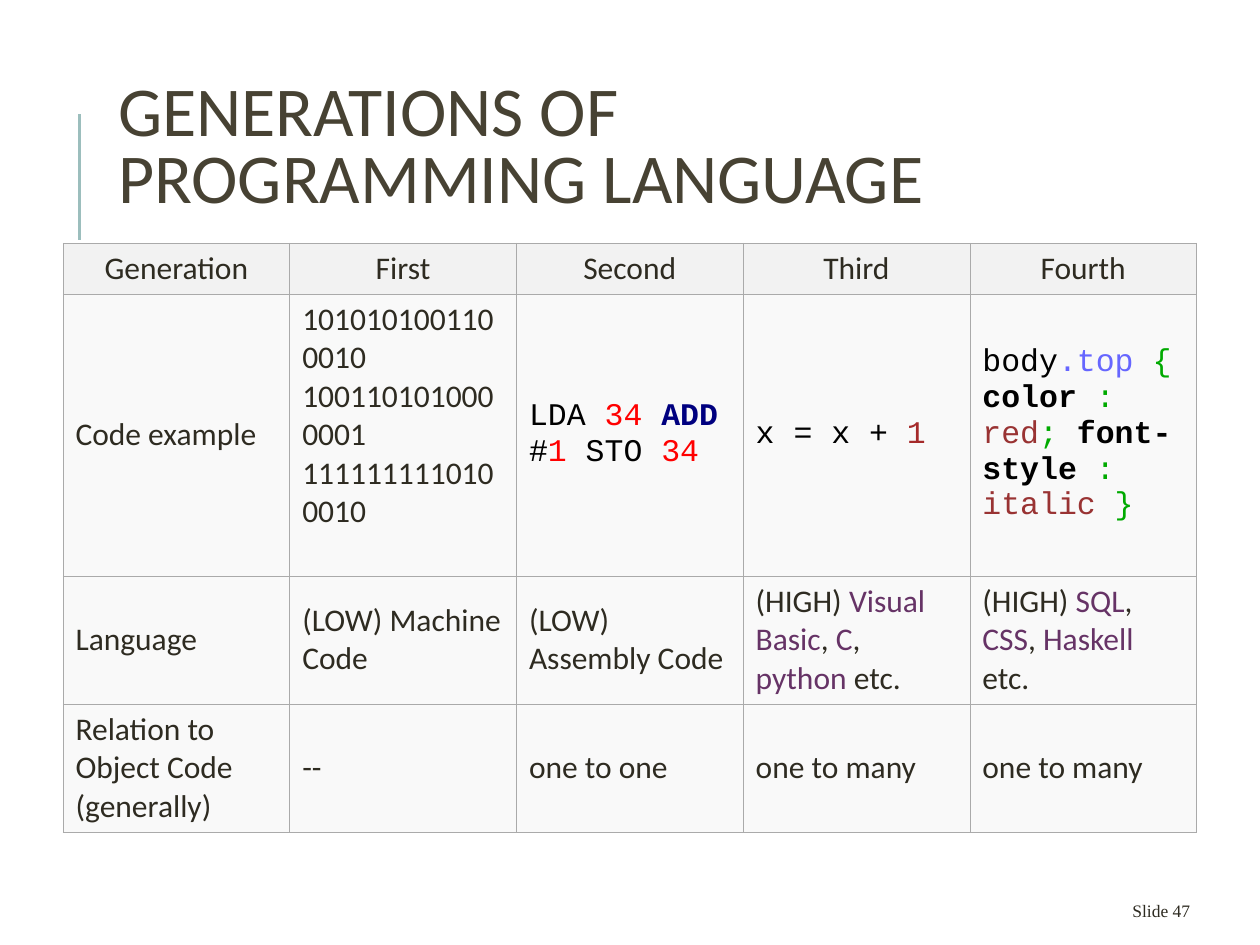
"""Build the slide on generations of programming language."""
from lxml import etree
from pptx import Presentation
from pptx.dml.color import RGBColor
from pptx.enum.shapes import MSO_CONNECTOR
from pptx.enum.text import MSO_ANCHOR, MSO_AUTO_SIZE, PP_ALIGN
from pptx.oxml.ns import qn
from pptx.util import Cm, Pt

LINE = MSO_CONNECTOR.STRAIGHT
MIDDLE = MSO_ANCHOR.MIDDLE
FIXED = MSO_AUTO_SIZE.NONE
LEFT, CENTER = PP_ALIGN.LEFT, PP_ALIGN.CENTER

HUES = {
    "title": "474233", "text": "2E2B21", "rule": "9CBEBD", "edge": "AAAAAA",
    "head": "F2F2F2", "body": "F9F9F9", "link": "663366", "black": "000000",
    "red": "FF0000", "navy": "00007F", "brown": "A52A2A", "blue": "6666FF",
    "green": "00AA00", "value": "993333",
}
SANS, MONO, SERIF = "Calibri", "Courier New", "Times New Roman"
BOLD = {"black bold", "navy bold"}

TITLE = "GENERATIONS OF PROGRAMMING LANGUAGE"
NUMBER = "Slide 47"
BITS = "1010101001100010\n1001101010000001\n1111111110100010"
LOAD = [("LDA ", "black"), ("34 ", "red"), ("ADD", "navy bold"), (" #", "black"),
        ("1", "red"), (" STO ", "black"), ("34", "red")]
SUM = [("x = x + ", "black"), ("1", "brown")]
STYLE = [("body", "black"), (".top ", "blue"), ("{ ", "green"),
         ("color ", "black bold"), (": ", "green"), ("red", "value"),
         ("; ", "green"), ("font-style ", "black bold"), (": ", "green"),
         ("italic ", "value"), ("}", "green")]
THIRD = [("(HIGH) ", "text"), ("Visual Basic", "link"), (", ", "text"),
         ("C", "link"), (", ", "text"), ("python", "link"), (" etc.", "text")]
FOURTH = [("(HIGH) ", "text"), ("SQL", "link"), (", ", "text"),
          ("CSS", "link"), (", ", "text"), ("Haskell", "link"), (" etc.", "text")]
ROWS = [
    ["Generation", "First", "Second", "Third", "Fourth"],
    ["Code example", BITS, LOAD, SUM, STYLE],
    ["Language", "(LOW) Machine Code", "(LOW) Assembly Code", THIRD, FOURTH],
    ["Relation to Object Code\n(generally)", "--", "one to one", "one to many",
     "one to many"],
]
CODE = (LOAD, SUM, STYLE)
HEIGHTS = [1.02, 5.59, 2.54, 2.54]
WIDTH = 4.57


def tint(name):
    return RGBColor.from_string(HUES[name.split()[0]])


def write(para, parts, face, size):
    for text, hue in parts:
        for i, piece in enumerate(text.split("\n")):
            if i:
                para.add_line_break()
            run = para.add_run()
            run.text = piece
            font = run.font
            font.name, font.size = face, Pt(size)
            font.bold = hue in BOLD
            font.color.rgb = tint(hue)


def edge(cell):
    props = cell._tc.get_or_add_tcPr()
    for side in ("a:lnL", "a:lnR", "a:lnT", "a:lnB"):
        line = etree.SubElement(props, qn(side), w=str(Pt(0.34)))
        fill = etree.SubElement(line, qn("a:solidFill"))
        etree.SubElement(fill, qn("a:srgbClr"), val=HUES["edge"])


def add_title(slide):
    title = slide.shapes.title
    title.left, title.top = Cm(2.13), Cm(1.63)
    title.width, title.height = Cm(20.24), Cm(4.17)
    frame = title.text_frame
    frame.word_wrap, frame.auto_size = True, FIXED
    frame.vertical_anchor = MIDDLE
    frame.margin_bottom = Cm(1.5)
    para = frame.paragraphs[0]
    para.alignment, para.line_spacing = LEFT, 0.8
    write(para, [(TITLE, "title")], SANS, 40)


def add_rule(slide):
    rule = slide.shapes.add_connector(LINE, Cm(1.6), Cm(4.83), Cm(1.6), Cm(2.29))
    rule.line.color.rgb = tint("rule")
    rule.line.width = Pt(1.5)
    etree.SubElement(rule._element.spPr, qn("a:effectLst"))


def add_grid(slide):
    cols = len(ROWS[0])
    grid = slide.shapes.add_table(len(ROWS), cols, Cm(1.27), Cm(4.9),
                                  Cm(WIDTH * cols), Cm(sum(HEIGHTS))).table
    grid.first_row = grid.horz_banding = False
    for col in grid.columns:
        col.width = Cm(WIDTH)
    for r, (row, high) in enumerate(zip(ROWS, HEIGHTS)):
        grid.rows[r].height = Cm(high)
        for c, item in enumerate(row):
            cell = grid.cell(r, c)
            edge(cell)
            cell.fill.solid()
            cell.fill.fore_color.rgb = tint("body" if r else "head")
            cell.vertical_anchor = MIDDLE
            if item is BITS:
                cell.margin_bottom = Cm(0.9)
            para = cell.text_frame.paragraphs[0]
            para.alignment = LEFT if r else CENTER
            parts = [(item, "text")] if isinstance(item, str) else item
            write(para, parts, MONO if item in CODE else SANS, 18)


def add_number(slide):
    box = slide.shapes.add_textbox(Cm(22.58), Cm(17.98), Cm(2.03), Cm(0.76))
    frame = box.text_frame
    frame.word_wrap, frame.vertical_anchor = True, MIDDLE
    write(frame.paragraphs[0], [(NUMBER, "text")], SERIF, 10)


def main():
    deck = Presentation()
    deck.slide_width, deck.slide_height = Cm(25.4), Cm(19.05)
    slide = deck.slides.add_slide(deck.slide_layouts[5])
    add_rule(slide)
    add_title(slide)
    add_grid(slide)
    add_number(slide)
    deck.save("out.pptx")


if __name__ == "__main__":
    main()
